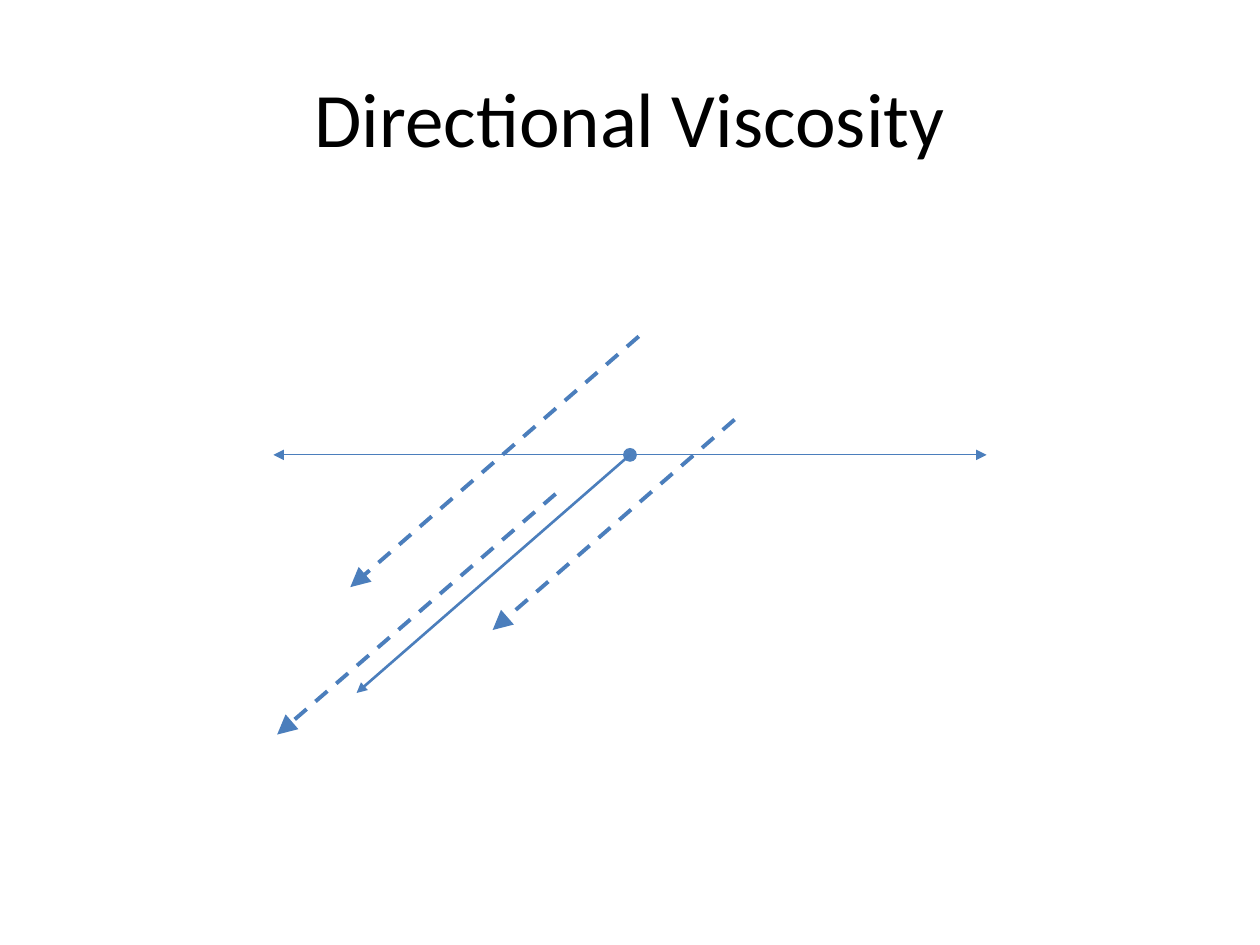
from pptx import Presentation
from pptx.dml.color import RGBColor
from pptx.enum.dml import MSO_LINE_DASH_STYLE as Dash
from pptx.enum.shapes import MSO_CONNECTOR as Connector, MSO_SHAPE as Shape
from pptx.enum.text import MSO_ANCHOR as Anchor, PP_ALIGN as Align
from pptx.oxml.ns import qn
from pptx.util import Inches, Pt
from lxml.etree import SubElement

BLACK = RGBColor(0x00, 0x00, 0x00)
LINE_BLUE = RGBColor(0x4B, 0x7E, 0xBC)
DOT_BLUE = RGBColor(0x4F, 0x81, 0xBD)

deck = Presentation()
deck.slide_width, deck.slide_height = Inches(10), Inches(7.5)
slide = deck.slides.add_slide(deck.slide_layouts[6])

# Grid: 100 columns by 75 rows, so one cell is a tenth of an inch
COL = deck.slide_width / 100
ROW = deck.slide_height / 75


def add_arrow(start, end, width, ends=("tailEnd",), size="med", dash=None):
    arrow = slide.shapes.add_connector(
        Connector.STRAIGHT,
        round(start[0] * COL), round(start[1] * ROW),
        round(end[0] * COL), round(end[1] * ROW))
    arrow.line.color.rgb = LINE_BLUE
    arrow.line.width = Pt(width)
    if dash:
        arrow.line.dash_style = dash
    outline = arrow.line._get_or_add_ln()
    for tip in ends:
        SubElement(outline, qn(f"a:{tip}"), type="triangle", w=size, len=size)
    SubElement(arrow._element.spPr, qn("a:effectLst"))


# Title
title = slide.shapes.add_textbox(round(5 * COL), round(3 * ROW),
                                 round(90 * COL), round(12.5 * ROW))
heading = title.text_frame
heading.word_wrap = True
heading.vertical_anchor = Anchor.MIDDLE
heading.paragraphs[0].alignment = Align.CENTER
heading_run = heading.paragraphs[0].add_run()
heading_run.text = "Directional Viscosity"
heading_run.font.name = "Calibri"
heading_run.font.size = Pt(44)
heading_run.font.color.rgb = BLACK

# Dashed flow arrows
for start, end in [((50.7, 26.7), (27.8, 46.6)),
                   ((44.1, 39.2), (22, 58.3)),
                   ((58.3, 33.3), (39.1, 50))]:
    add_arrow(start, end, 2.25, size="lg", dash=Dash.DASH)

# Horizontal axis, centre dot and direction arrow
center = (50, 36.1)
half_axis = 28.3
dot = 1.1
add_arrow((center[0] - half_axis, center[1]),
          (center[0] + half_axis, center[1]), 0.75, ends=("headEnd", "tailEnd"))

origin = slide.shapes.add_shape(
    Shape.OVAL,
    round((center[0] - dot / 2) * COL), round((center[1] - dot / 2) * ROW),
    round(dot * COL), round(dot * ROW))
origin.shadow.inherit = False
origin.fill.solid()
origin.fill.fore_color.rgb = DOT_BLUE
origin.line.fill.background()

add_arrow(center, (28.3, 55), 1.5)

deck.save("out.pptx")
